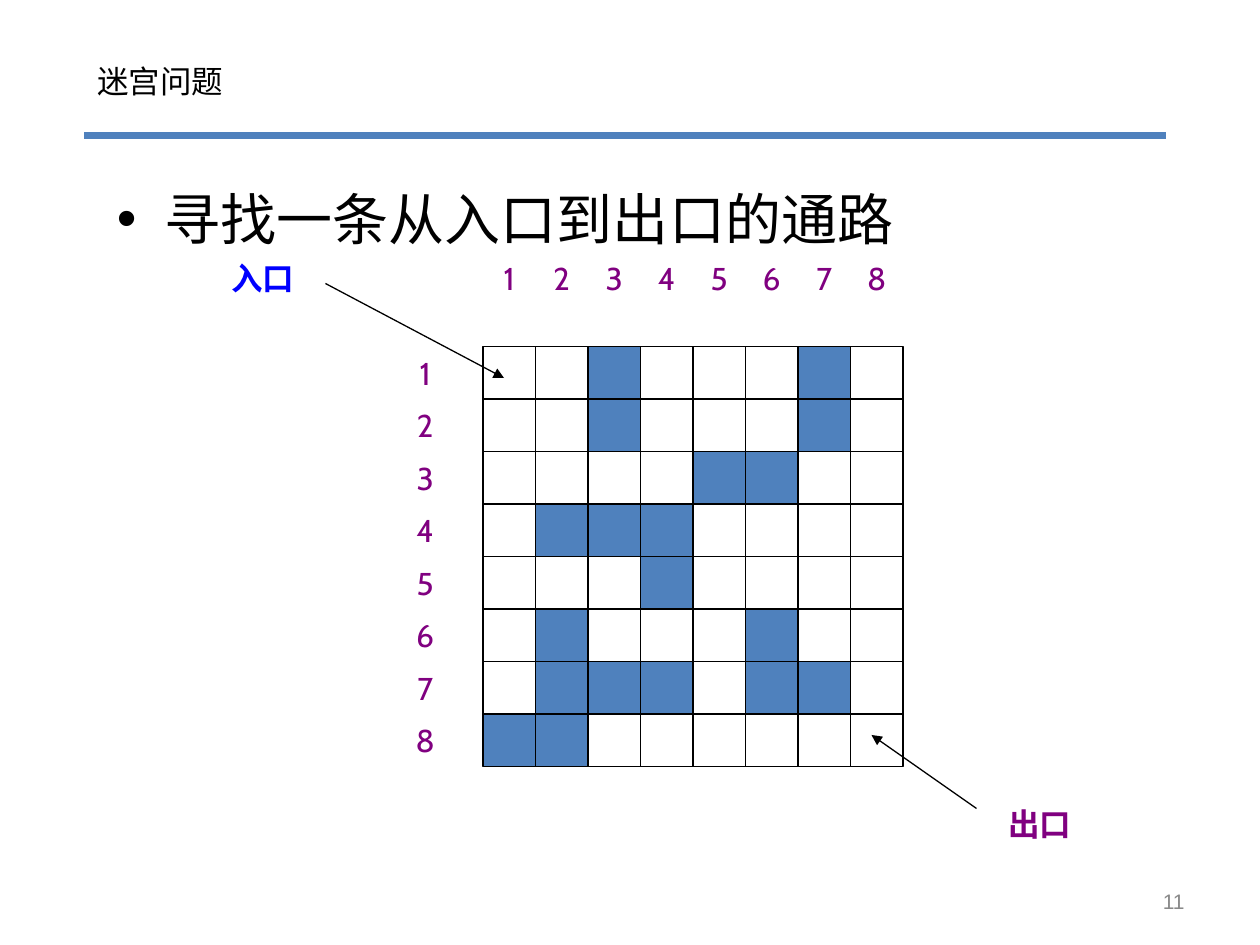
from lxml import etree
from pptx import Presentation, util as u
from pptx.dml.color import RGBColor
from pptx.enum import shapes, text
from pptx.oxml.ns import qn

WIDTH, HEIGHT = u.Inches(10), u.Inches(7.5)
CELL = u.Inches(5) / 12
MAZE_LEFT, MAZE_TOP = 9.2 * CELL, 6.6 * CELL
BLUE, PURPLE, BLACK = "4F81BD", "800080", "000000"
MAZE = [
    "..#...#.",
    "..#...#.",
    "....##..",
    ".###....",
    "...#....",
    ".#...#..",
    ".###.##.",
    "##......",
]


def color(value):
    return RGBColor.from_string(value)


def at_cell(column, row):
    return round(MAZE_LEFT + column * CELL), round(MAZE_TOP + row * CELL)


def share(left, top, width, height):
    return (round(left * WIDTH), round(top * HEIGHT),
            round(width * WIDTH), round(height * HEIGHT))


def write(frame, words, font="Calibri", size=18, hue=BLACK, bold=False, align="LEFT",
          anchor="TOP", wrap=True, bullet=None):
    frame.word_wrap = wrap
    frame.auto_size = text.MSO_AUTO_SIZE.NONE
    frame.vertical_anchor = text.MSO_ANCHOR[anchor]
    paragraph = frame.paragraphs[0]
    paragraph.text = words
    paragraph.alignment = text.PP_ALIGN[align]
    if bullet:
        properties = paragraph._p.get_or_add_pPr()
        properties.set("marL", str(u.Inches(0.38)))
        properties.set("indent", str(u.Inches(-0.38)))
        etree.SubElement(properties, qn("a:buFont")).set("typeface", "Arial")
        etree.SubElement(properties, qn("a:buChar")).set("char", bullet)
    style = paragraph.runs[0].font
    style.name, style.size, style.bold = font, u.Pt(size), bold
    style.color.rgb = color(hue)


def add_text(parent, box, words, **style):
    write(parent.add_textbox(*box).text_frame, words, **style)


def add_label(parent, column, row, words, columns=1, **style):
    box = (*at_cell(column, row), round(columns * CELL), round(CELL))
    add_text(parent, box, words, font="Cabin", align="CENTER", anchor="MIDDLE",
             wrap=False, **style)


def add_line(parent, start, end, hue=BLACK, weight=0.75, arrow=False):
    line = parent.add_connector(shapes.MSO_CONNECTOR.STRAIGHT, *start, *end)
    line.line.color.rgb = color(hue)
    line.line.width = u.Pt(weight)
    if arrow:
        etree.SubElement(line.line._get_or_add_ln(), qn("a:tailEnd")).set("type", "triangle")
    etree.SubElement(line._element.spPr, qn("a:effectLst"))


def add_square(parent, column, row, wall):
    square = parent.add_shape(shapes.MSO_SHAPE.RECTANGLE, *at_cell(column, row),
                              round(CELL), round(CELL))
    square.shadow.inherit = False
    square.line.color.rgb = color(BLACK)
    square.line.width = u.Pt(0.75)
    if wall:
        square.fill.solid()
        square.fill.fore_color.rgb = color(BLUE)
    else:
        square.fill.background()


def add_maze(slide):
    maze = slide.shapes.add_group_shape().shapes
    for row, squares in enumerate(MAZE):
        for column, mark in enumerate(squares):
            add_square(maze, column, row, mark == "#")
    for index in range(len(MAZE)):
        add_label(maze, index, -1.8, str(index + 1), hue=PURPLE)
        add_label(maze, -1.6, index, str(index + 1), hue=PURPLE)


def add_gate(slide, words, hue, label, start, end):
    gate = slide.shapes.add_group_shape().shapes
    add_label(gate, *label, words, columns=2.8, hue=hue, bold=True)
    add_line(gate, at_cell(*start), at_cell(*end), arrow=True)


def add_title(slide, words):
    title = slide.shapes.title
    title.left, title.top, title.width, title.height = share(0.067, 0.059, 0.851, 0.054)
    write(title.text_frame, words)


def main():
    deck = Presentation()
    deck.slide_width, deck.slide_height = WIDTH, HEIGHT
    slide = deck.slides.add_slide(deck.slide_layouts[5])
    add_title(slide, "迷宫问题")
    rule_left, rule_top, rule_width, _ = share(0.067, 0.143, 0.858, 0)
    add_line(slide.shapes, (rule_left, rule_top), (rule_left + rule_width, rule_top),
             hue=BLUE, weight=4)
    add_maze(slide)
    add_gate(slide, "入口", "0000FF", label=(-5.6, -1.8), start=(-3, -1.2), end=(0.4, 0.6))
    add_gate(slide, "出口", PURPLE, label=(9.2, 8.6), start=(9.4, 8.8), end=(7.4, 7.4))
    add_text(slide.shapes, share(0.083, 0.189, 0.842, 0.1), "寻找一条从入口到出口的通路",
             size=32, bullet="•")
    add_text(slide.shapes, share(0.717, 0.927, 0.233, 0.053), "11", font="Arial", size=12,
             hue="898989", align="RIGHT", anchor="MIDDLE")
    deck.save("out.pptx")


if __name__ == "__main__":
    main()
